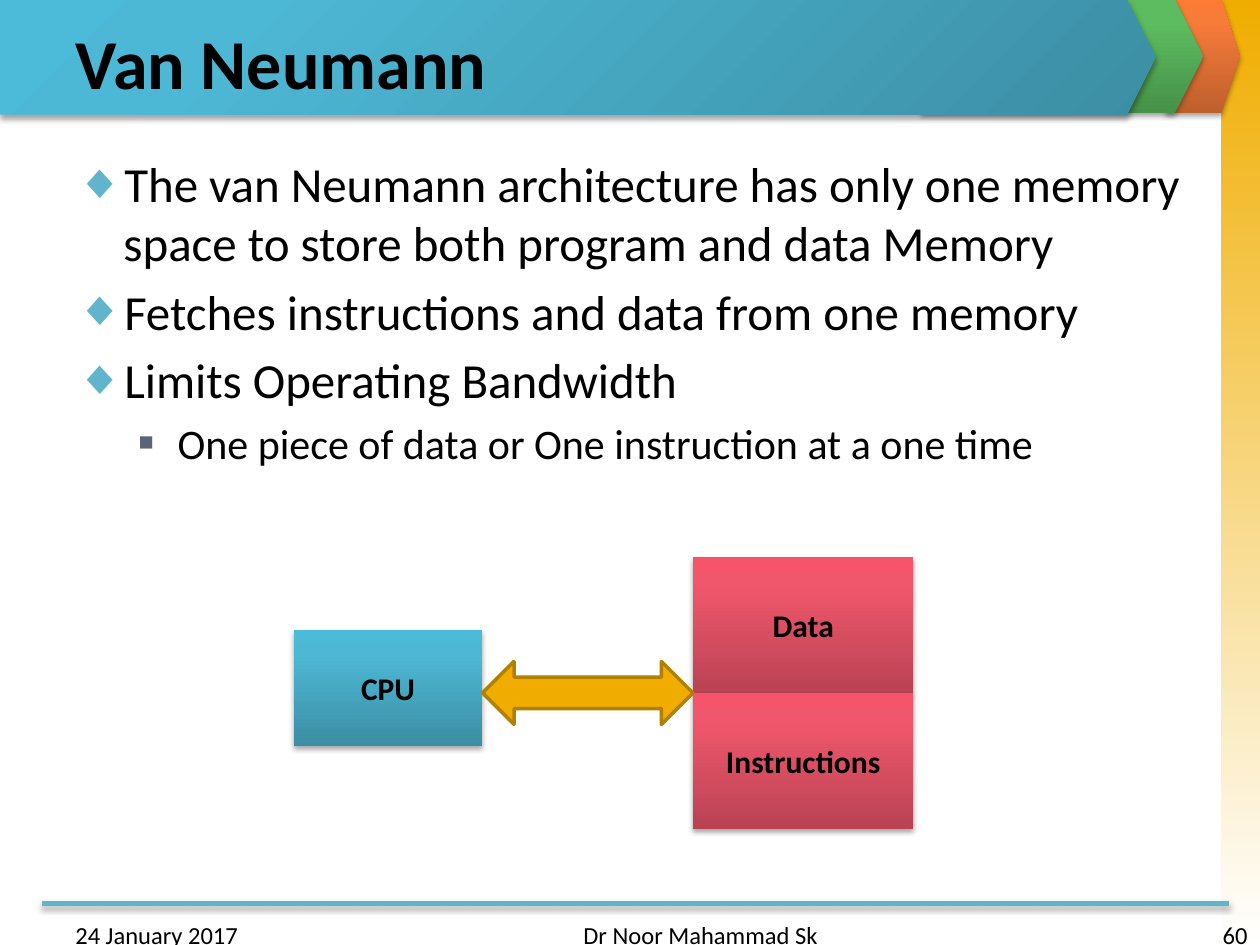
import pptx
import pptx.util
from lxml import etree
from pptx.dml.color import RGBColor
from pptx.enum.shapes import MSO_CONNECTOR, MSO_SHAPE
from pptx.enum.text import MSO_ANCHOR, MSO_AUTO_SIZE, PP_ALIGN
from pptx.oxml.ns import qn

BLACK = RGBColor(0x00, 0x00, 0x00)
WHITE = RGBColor(0xFF, 0xFF, 0xFF)
GOLD = RGBColor(0xF0, 0xAD, 0x00)
GOLD_EDGE = RGBColor(0xB2, 0x80, 0x00)
AQUA = RGBColor(0x60, 0xB5, 0xCC)
SLATE = RGBColor(0x5A, 0x63, 0x78)

GOLD_FADE = [(0, GOLD), (100, WHITE)]
ORANGE_SHADE = [(0, RGBColor(0xBE, 0x5F, 0x2C)), (80, RGBColor(0xF7, 0x7B, 0x39)),
                (100, RGBColor(0xFC, 0x7B, 0x35))]
GREEN_SHADE = [(0, RGBColor(0x47, 0x91, 0x49)), (80, RGBColor(0x5D, 0xBC, 0x5F)),
               (100, RGBColor(0x5B, 0xBF, 0x5E))]
BLUE_SHADE = [(0, RGBColor(0x3C, 0x8E, 0xA4)), (80, RGBColor(0x4D, 0xB8, 0xD5)),
              (100, RGBColor(0x4B, 0xBB, 0xD9))]
RED_SHADE = [(0, RGBColor(0xB9, 0x43, 0x53)), (80, RGBColor(0xF1, 0x57, 0x6C)),
             (100, RGBColor(0xF5, 0x54, 0x6B))]

FONT = "Calibri"
WIDTH, HEIGHT = 10, 7.5
MARGIN = 0.5
BAND_HEIGHT = 0.91
CPU_LEFT, CPU_WIDTH, CPU_HEIGHT = 2.33, 1.5, 0.92
MEMORY_LEFT, MEMORY_WIDTH, MEMORY_HEIGHT = 5.5, 1.75, 1.08
MEMORY_MIDDLE = 5.5
BUS_HEIGHT = 0.5

TITLE = "Van Neumann"
POINTS = [
    (0, "The van Neumann architecture has only one memory space to store both program and data Memory"),
    (0, "Fetches instructions and data from one memory"),
    (0, "Limits Operating Bandwidth"),
    (1, "One piece of data or One instruction at a one time"),
]
LEVELS = [
    dict(size=28, margin=0.38, hang=0.38, mark="◆", color=AQUA, scale=100),
    dict(size=24, margin=0.81, hang=0.31, mark="■", color=SLATE, scale=60),
]
FOOTER = [
    ("24 January 2017", 0.5, 2.33, PP_ALIGN.LEFT),
    ("Dr Noor Mahammad Sk", 3.42, 3.17, PP_ALIGN.RIGHT),
    ("60", 7.67, 2.33, PP_ALIGN.RIGHT),
]
CHEVRONS = [
    (9.25, -0.01, 0.59, ORANGE_SHADE, 270),
    (7.31, -0.01, 2.24, GREEN_SHADE, 270),
    (0, 0, 9.17, BLUE_SHADE, None),
]
MEMORIES = ["Data", "Instructions"]


def box(*lengths):
    return [pptx.util.Inches(length) for length in lengths]


def place(holder, *lengths):
    holder.left, holder.top, holder.width, holder.height = box(*lengths)


def add(parent, tag, **attributes):
    child = etree.SubElement(parent, qn(tag))
    for key, value in attributes.items():
        child.set(key, str(value))
    return child


def write(paragraph, text, size, bold=False, align=PP_ALIGN.LEFT):
    run = paragraph.add_run()
    run.text = text
    run.font.name = FONT
    run.font.size = pptx.util.Pt(size)
    run.font.bold = bold
    run.font.color.rgb = BLACK
    paragraph.alignment = align


def set_bullet(paragraph, level):
    properties = paragraph._p.get_or_add_pPr()
    properties.set("marL", str(pptx.util.Inches(level["margin"])))
    properties.set("indent", str(-pptx.util.Inches(level["hang"])))
    add(add(properties, "a:buClr"), "a:srgbClr", val=level["color"])
    add(properties, "a:buSzPct", val=level["scale"] * 1000)
    add(properties, "a:buChar", char=level["mark"])


def cast_shadow(part):
    effects = add(part._element.spPr, "a:effectLst")
    outer = add(effects, "a:outerShdw", blurRad=pptx.util.Pt(3.1), dist=pptx.util.Pt(1.8),
                dir=90 * 60000, rotWithShape=0)
    add(add(outer, "a:srgbClr", val=BLACK), "a:alpha", val=35000)


def shade(part, stops, angle):
    part.fill.gradient()
    gradient = part._element.spPr.find(qn("a:gradFill"))
    for child in list(gradient):
        gradient.remove(child)
    stop_list = add(gradient, "a:gsLst")
    for position, color in stops:
        add(add(stop_list, "a:gs", pos=position * 1000), "a:srgbClr", val=color)
    if angle is None:
        add(add(gradient, "a:path", path="circle"), "a:fillToRect", l=100000, t=100000)
    else:
        add(gradient, "a:lin", ang=angle * 60000, scaled=0)


def add_panel(slide, kind, lengths, stops, angle=270, shadow=True):
    panel = slide.shapes.add_shape(kind, *box(*lengths))
    shade(panel, stops, angle)
    panel.line.fill.background()
    if shadow:
        cast_shadow(panel)
    else:
        panel.shadow.inherit = False
    return panel


def add_block(slide, label, lengths, stops):
    block = add_panel(slide, MSO_SHAPE.RECTANGLE, lengths, stops)
    block.text_frame.vertical_anchor = MSO_ANCHOR.MIDDLE
    write(block.text_frame.paragraphs[0], label, 18, bold=True, align=PP_ALIGN.CENTER)


def draw_frame(slide):
    add_panel(slide, MSO_SHAPE.RECTANGLE, (9.69, 0, 0.31, HEIGHT), GOLD_FADE, 90, shadow=False)
    for left, top, width, stops, angle in CHEVRONS:
        if angle is None:
            rule = slide.shapes.add_connector(MSO_CONNECTOR.STRAIGHT, *box(0.33, 7.17, 9.75, 7.17))
            rule.line.color.rgb = AQUA
            rule.line.width = pptx.util.Pt(3)
            cast_shadow(rule)
        chevron = add_panel(slide, MSO_SHAPE.PENTAGON, (left, top, width, BAND_HEIGHT), stops, angle)
        chevron.adjustments[0] = 0.25


def fill_text(slide):
    title, body = slide.placeholders
    for holder in (title, body):
        slide.shapes._spTree.append(holder._element)
        holder.text_frame.auto_size = MSO_AUTO_SIZE.NONE
    place(title, MARGIN, 0.14, WIDTH - 2 * MARGIN, 0.69)
    title.text_frame.vertical_anchor = MSO_ANCHOR.MIDDLE
    write(title.text_frame.paragraphs[0], TITLE, 40, bold=True)

    place(body, MARGIN, 1.17, WIDTH - 2 * MARGIN, 5.53)
    for index, (depth, text) in enumerate(POINTS):
        frame = body.text_frame
        paragraph = frame.add_paragraph() if index else frame.paragraphs[0]
        paragraph.level = depth
        write(paragraph, text, LEVELS[depth]["size"])
        set_bullet(paragraph, LEVELS[depth])

    for text, left, width, align in FOOTER:
        note = slide.shapes.add_textbox(*box(left, 7.25, width, 0.25))
        note.text_frame.word_wrap = True
        write(note.text_frame.paragraphs[0], text, 14, align=align)


def draw_diagram(slide):
    add_block(slide, "CPU", (CPU_LEFT, 5, CPU_WIDTH, CPU_HEIGHT), BLUE_SHADE)
    for row, label in enumerate(MEMORIES):
        top = MEMORY_MIDDLE + (row - 1) * MEMORY_HEIGHT
        add_block(slide, label, (MEMORY_LEFT, top, MEMORY_WIDTH, MEMORY_HEIGHT), RED_SHADE)
    bus_left = CPU_LEFT + CPU_WIDTH
    bus = slide.shapes.add_shape(
        MSO_SHAPE.LEFT_RIGHT_ARROW,
        *box(bus_left, MEMORY_MIDDLE - BUS_HEIGHT / 2, MEMORY_LEFT - bus_left, BUS_HEIGHT))
    bus.shadow.inherit = False
    bus.fill.solid()
    bus.fill.fore_color.rgb = GOLD
    bus.line.color.rgb = GOLD_EDGE
    bus.line.width = pptx.util.Pt(2)


def main():
    deck = pptx.Presentation()
    deck.slide_width, deck.slide_height = box(WIDTH, HEIGHT)
    slide = deck.slides.add_slide(deck.slide_layouts[1])
    draw_frame(slide)
    fill_text(slide)
    draw_diagram(slide)
    deck.save("out.pptx")


if __name__ == "__main__":
    main()
